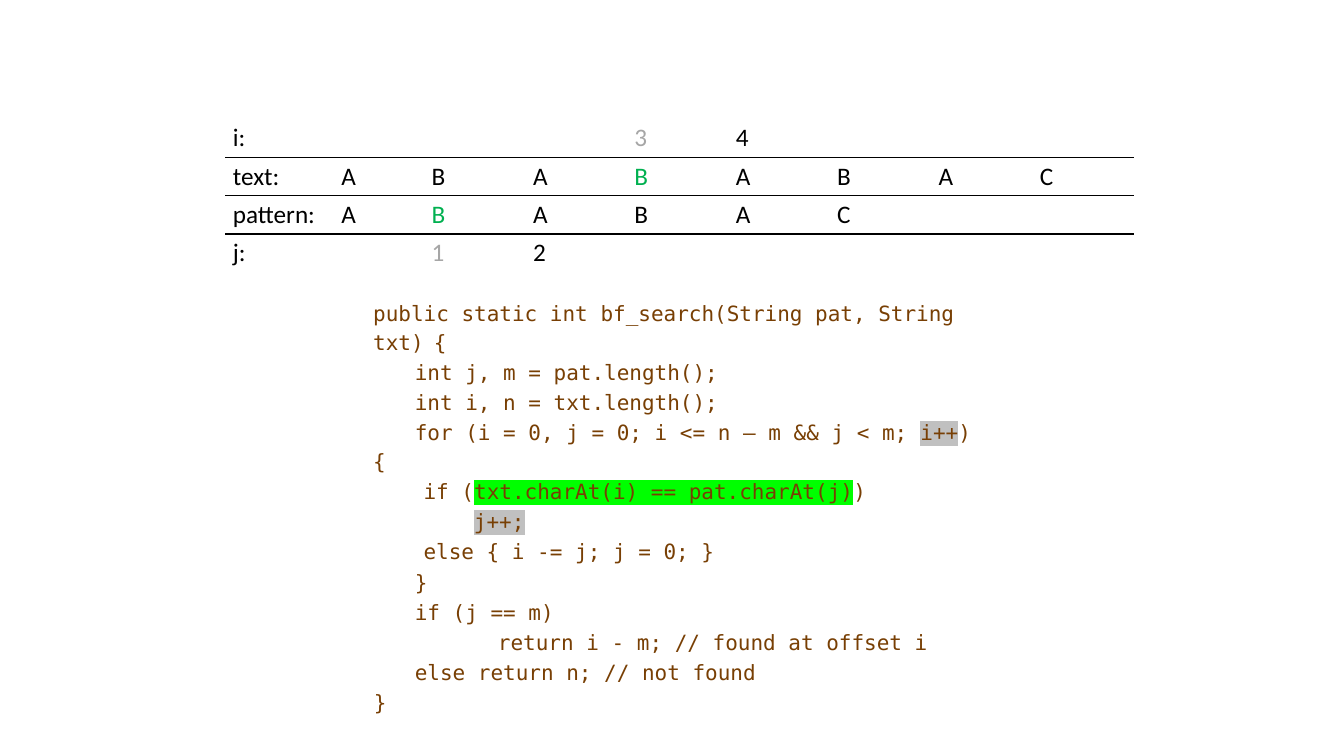
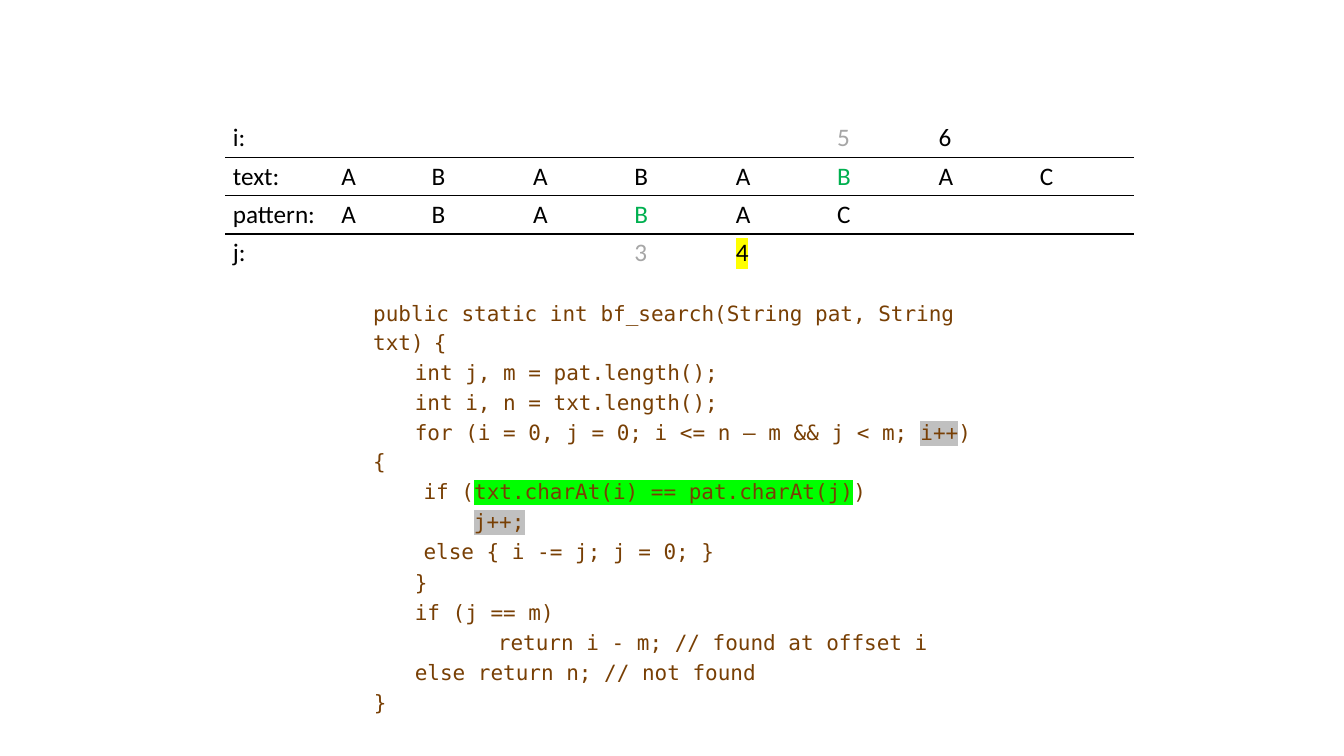
from dataclasses import dataclass
from typing import Optional

from lxml import etree
from pptx import Presentation
from pptx.dml.color import RGBColor
from pptx.oxml.ns import qn
from pptx.util import Pt

COLORS = {
    "ink": "000000", "past": "A6A6A6", "match": "00B050", "code": "783F04",
    "step": "C0C0C0", "compare": "00FF00", "notice": "FFFF00",
}
BODY_FONT, CODE_FONT = "Calibri", "DejaVu Sans Mono"
NO_STYLE = "{2D5ABB26-0587-4C30-8999-92F81FD0307C}"
TEXT, PATTERN = "ABABABAC", "ABABAC"
COL_WIDTHS = [77.5, 64.5] + [72.4] * 7
ROW_HEIGHT = 27.4
TAB, INDENT = 54, 29.7


@dataclass(frozen=True)
class Span:
    text: str
    color: str = "ink"
    highlight: Optional[str] = None
    size: float = 15


@dataclass(frozen=True)
class CodeLine:
    spans: tuple[Span, ...]
    first: float = INDENT
    left: float = 0


@dataclass(frozen=True)
class Step:
    """Matched indexes in text (i) and pattern (j), before both advance."""
    i: int
    j: int
    next_j_highlight: Optional[str] = None


def code(text: str, highlight: Optional[str] = None, size: float = 15) -> Span:
    return Span(text, "code", highlight, size)


def line(*spans: Span, first: float = INDENT, left: float = 0) -> CodeLine:
    return CodeLine(spans, first, left)


CODE = [
    line(code("public static int bf_search(String pat, String txt)"),
         code(" ", size=12), code("{"), first=0),
    line(code("int j, m = pat.length();")),
    line(code("int i, n = txt.length();")),
    line(code("for (i = 0, j = 0; i <= n – m && j < m; "), code("i++", "step"),
         code(")"), code(" ", size=12), code("{")),
    line(code("\t", size=12), code("if ("),
         code("txt.charAt(i) == pat.charAt(j)", "compare"), code(")")),
    line(code("\t\t"), code("j++;", "step")),
    line(code("\telse { i -= j; j = 0; }")),
    line(code("}")),
    line(code("if (j == m)")),
    line(code("return i - m; // found at offset i"), left=2 * INDENT),
    line(code("else return n; // not found")),
    line(code("}"), first=0.5),
]
STEPS = [Step(3, 1), Step(5, 3, "notice")]


def add_span(p, span: Span, font: str) -> None:
    r = p.add_run()
    r.text = span.text
    r.font.size = Pt(span.size)
    r.font.name = font
    r.font.color.rgb = RGBColor.from_string(COLORS[span.color])
    if span.highlight:
        highlight = etree.Element(qn("a:highlight"))
        etree.SubElement(highlight, qn("a:srgbClr"), val=COLORS[span.highlight])
        r._r.get_or_add_rPr().find(qn("a:solidFill")).addnext(highlight)


def add_code(s, lines: list[CodeLine]) -> None:
    tf = s.shapes.add_textbox(Pt(260.6), Pt(206), Pt(448.6), Pt(267)).text_frame
    tf.word_wrap = True
    tf.margin_left = tf.margin_right = tf.margin_top = tf.margin_bottom = Pt(6)
    for n, code_line in enumerate(lines):
        p = tf.add_paragraph() if n else tf.paragraphs[0]
        pPr = p._p.get_or_add_pPr()
        pPr.set("marL", str(Pt(code_line.left)))
        pPr.set("indent", str(Pt(code_line.first)))
        tabs = etree.SubElement(pPr, qn("a:tabLst"))
        for stop in (TAB, 2 * TAB):
            etree.SubElement(tabs, qn("a:tab"), pos=str(Pt(stop)), algn="l")
        p.line_spacing = 1.15
        if n:
            p.space_before = Pt(0.8)
        for span in code_line.spans:
            add_span(p, span, CODE_FONT)


def index_cells(old: int, highlight: Optional[str] = None) -> dict[int, Span]:
    """The old index in grey above its letter, the next one beside it."""
    return {old: Span(str(old), "past", size=18),
            old + 1: Span(str(old + 1), highlight=highlight, size=18)}


def letter_cells(letters: str, matched: int) -> dict[int, Span]:
    return {n: Span(letter, "match" if n == matched else "ink", size=18)
            for n, letter in enumerate(letters)}


def add_border(cell, side: str) -> None:
    ln = etree.Element(qn(f"a:{side}"), w=str(Pt(1)))
    fill = etree.SubElement(ln, qn("a:solidFill"))
    etree.SubElement(fill, qn("a:srgbClr"), val=COLORS["ink"])
    cell._tc.get_or_add_tcPr().insert(0, ln)


def add_trace(s, step: Step) -> None:
    rows = [
        ("i:", index_cells(step.i)),
        ("text:", letter_cells(TEXT, step.i)),
        ("pattern:", letter_cells(PATTERN, step.j)),
        ("j:", index_cells(step.j, step.next_j_highlight)),
    ]
    frame = s.shapes.add_table(len(rows), len(COL_WIDTHS), Pt(161), Pt(85),
                               Pt(sum(COL_WIDTHS)), Pt(ROW_HEIGHT * len(rows)))
    table = frame.table
    table.first_row = table.horz_banding = False
    table._tbl.tblPr.find(qn("a:tableStyleId")).text = NO_STYLE
    for column, width in zip(table.columns, COL_WIDTHS):
        column.width = Pt(width)
    for n, (label, cells) in enumerate(rows):
        table.rows[n].height = Pt(ROW_HEIGHT)
        spans = {0: Span(label, size=18)}
        spans.update({k + 1: span for k, span in cells.items()})
        for c in range(len(COL_WIDTHS)):
            cell = table.cell(n, c)
            cell.margin_left = cell.margin_right = Pt(5.4)
            cell.margin_top = cell.margin_bottom = Pt(2.7)
            cell.fill.background()
            if n < len(rows) - 1:
                add_border(cell, "lnB")
            if n:
                add_border(cell, "lnT")
            if c in spans:
                add_span(cell.text_frame.paragraphs[0], spans[c], BODY_FONT)


def main() -> None:
    prs = Presentation()
    prs.slide_width, prs.slide_height = Pt(960), Pt(540)
    blank = prs.slide_layouts[6]
    for step in STEPS:
        s = prs.slides.add_slide(blank)
        add_code(s, CODE)
        add_trace(s, step)
    prs.save("out.pptx")


if __name__ == "__main__":
    main()
